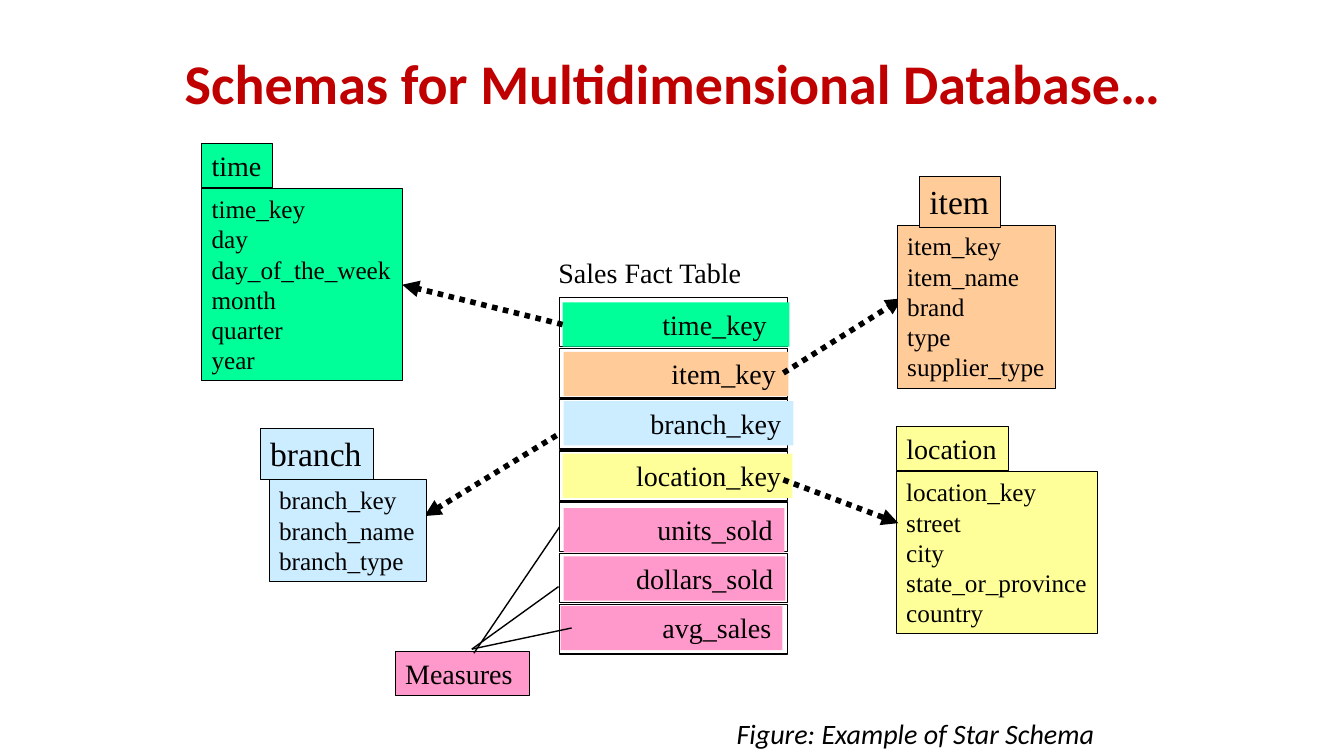
from dataclasses import dataclass

from pptx import Presentation, util as u
from pptx.dml.color import RGBColor
from pptx.enum import dml, shapes, text
from pptx.oxml import parse_xml
from pptx.oxml.ns import nsdecls


@dataclass
class Theme:
    serif: str = "Times New Roman"
    sans: str = "Calibri"
    black: str = "000000"
    red: str = "C00000"
    green: str = "00FF99"
    peach: str = "FFCC99"
    blue: str = "CCECFF"
    yellow: str = "FFFF99"
    pink: str = "FF99CC"
    title: int = 40
    head: int = 24
    label: int = 20
    field: int = 18
    thin: float = 0.75
    line: float = 1
    dots: float = 4


def write(shape, words, font, size, color, bold=False, italic=False,
          align=text.PP_ALIGN.LEFT, anchor=text.MSO_ANCHOR.TOP,
          wrap=True, left=0.1, space=None):
    frame = shape.text_frame
    frame.auto_size = text.MSO_AUTO_SIZE.NONE
    frame.word_wrap = wrap
    frame.vertical_anchor = anchor
    frame.margin_left, frame.margin_right = u.Inches(left), u.Inches(0.1)
    frame.margin_top = frame.margin_bottom = u.Inches(0.05)
    frame.text = words
    for para in frame.paragraphs:
        para.alignment = align
        if space:
            para.line_spacing = space
        for run in para.runs:
            run.font.name = font
            run.font.size = u.Pt(size)
            run.font.bold = bold
            run.font.italic = italic
            run.font.color.rgb = RGBColor.from_string(color)


class Board:
    def __init__(self, slide, theme):
        self.slide = slide
        self.theme = theme

    def title(self, words, at):
        shape = self.slide.shapes.title
        shape.left, shape.top, shape.width, shape.height = map(u.Inches, at)
        write(shape, words, self.theme.sans, self.theme.title, self.theme.red,
              bold=True, align=text.PP_ALIGN.CENTER, space=1.15)

    def label(self, words, at, font, **style):
        shape = self.slide.shapes.add_textbox(*map(u.Inches, at))
        write(shape, words, font, self.theme.label, self.theme.black, **style)

    def box(self, at, fill=None, line=None, words=None, size=None, **style):
        shape = self.slide.shapes.add_shape(
            shapes.MSO_SHAPE.RECTANGLE, *map(u.Inches, at))
        shape.shadow.inherit = False
        if fill:
            shape.fill.solid()
            shape.fill.fore_color.rgb = RGBColor.from_string(fill)
        else:
            shape.fill.background()
        if line:
            shape.line.color.rgb = RGBColor.from_string(self.theme.black)
            shape.line.width = u.Pt(line)
        else:
            shape.line.fill.background()
        if words:
            write(shape, words, self.theme.serif, size, self.theme.black, **style)
        return shape

    def table(self, name, tab, size, fields, body, fill):
        main = self.box(body, fill, self.theme.thin, "\n".join(fields),
                        self.theme.field, wrap=False)
        self.box(tab, fill, self.theme.thin, name, size, wrap=False)
        return main

    def link(self, start, end, first=None, last=None, arrow=False):
        line = self.slide.shapes.add_connector(
            shapes.MSO_CONNECTOR.STRAIGHT, *map(u.Inches, start + end))
        if first:
            line.begin_connect(*first)
        if last:
            line.end_connect(*last)
        line.line.color.rgb = RGBColor.from_string(self.theme.black)
        line.line.width = u.Pt(self.theme.dots if arrow else self.theme.line)
        if arrow:
            line.line.dash_style = dml.MSO_LINE.ROUND_DOT
            line.line._get_or_add_ln().append(parse_xml(
                f'<a:tailEnd {nsdecls("a")} type="triangle"/>'))
        props = line._element.spPr
        props.append(parse_xml(f'<a:effectLst {nsdecls("a")}/>'))


def main():
    deck = Presentation()
    deck.slide_width, deck.slide_height = u.Inches(13.33), u.Inches(7.5)
    look = Theme()
    board = Board(deck.slides.add_slide(deck.slide_layouts[5]), look)

    board.title("Schemas for Multidimensional Database…", (0.92, 0.33, 11.5, 0.81))
    board.label("Figure: Example of Star Schema", (4.83, 7, 8.5, 0.55), look.sans,
                italic=True, align=text.PP_ALIGN.CENTER,
                anchor=text.MSO_ANCHOR.MIDDLE)
    board.label("Sales Fact Table", (5.44, 2.49, 2.03, 0.44), look.serif, wrap=False)

    time = board.table(
        "time", (2, 1.42, 0.7, 0.44), look.label,
        ["time_key", "day", "day_of_the_week", "month", "quarter", "year"],
        (2, 1.87, 1.99, 1.91), look.green)
    board.table(
        "location", (8.89, 4.23, 1.11, 0.44), look.label,
        ["location_key", "street", "city", "state_or_province", "country"],
        (8.89, 4.68, 2, 1.61), look.yellow)

    rows = [
        ("time_key", look.green, 5.58, 3, 2.25, 6.57),
        ("item_key", look.peach, 5.59, 3.49, 2.23, 6.66),
        ("branch_key", look.blue, 5.59, 3.98, 2.28, 6.45),
        ("location_key", look.yellow, 5.58, 4.5, 2.28, 6.31),
        ("units_sold", look.pink, 5.59, 5.04, 2.19, 6.52),
        ("dollars_sold", look.pink, 5.59, 5.52, 2.2, 6.31),
        ("avg_sales", look.pink, 5.56, 6.01, 2.2, 6.57),
    ]
    cells, keys = {}, {}
    for i, (name, fill, left, top, width, start) in enumerate(rows):
        cells[name] = board.box((5.55, 2.95 + 0.508 * i, 2.26, 0.49), line=look.line)
        keys[name] = board.box((left, top, width, 0.44), fill, None, name,
                               look.label, wrap=False, left=start - left)

    board.box((3.92, 6.46, 1.33, 0.44), look.pink, look.thin, "Measures", look.label)
    board.link((4.7, 6.48), (5.54, 5.23), last=(cells["units_sold"], 1))
    for end in [(5.54, 5.82), (5.67, 6.23)]:
        board.link((4.68, 6.44), end)

    board.link((5.52, 4.32), (4.21, 5.12), arrow=True)
    board.link((5.58, 3.28), (4, 2.75), (keys["time_key"], 1), (time, 3), arrow=True)
    board.link((7.77, 4.76), (8.91, 5.19), arrow=True)
    board.link((7.77, 3.7), (8.95, 2.96), arrow=True)

    board.table(
        "item", (9.12, 1.75, 0.8, 0.51), look.head,
        ["item_key", "item_name", "brand", "type", "supplier_type"],
        (8.9, 2.24, 1.57, 1.61), look.peach)
    board.table(
        "branch", (2.58, 4.25, 1.12, 0.51), look.head,
        ["branch_key", "branch_name", "branch_type"],
        (2.67, 4.76, 1.56, 1.01), look.blue)

    deck.save("out.pptx")


if __name__ == "__main__":
    main()
